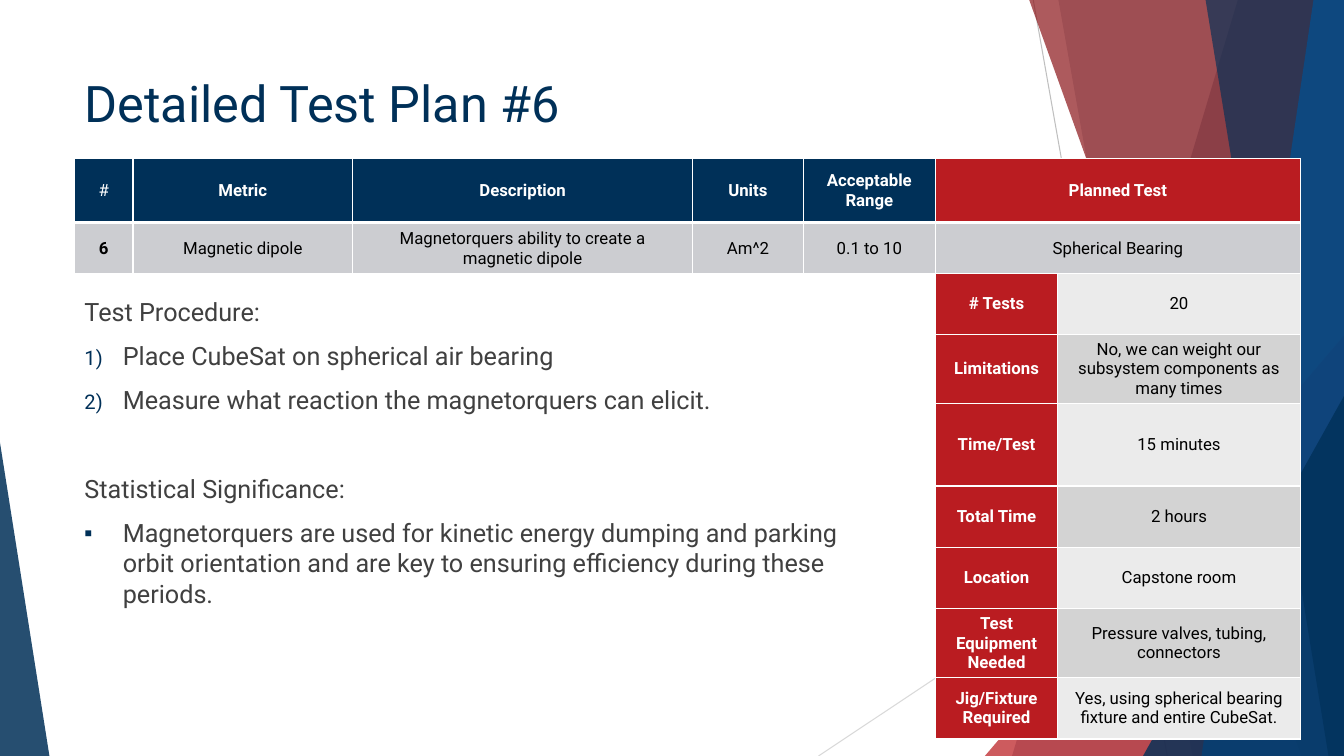
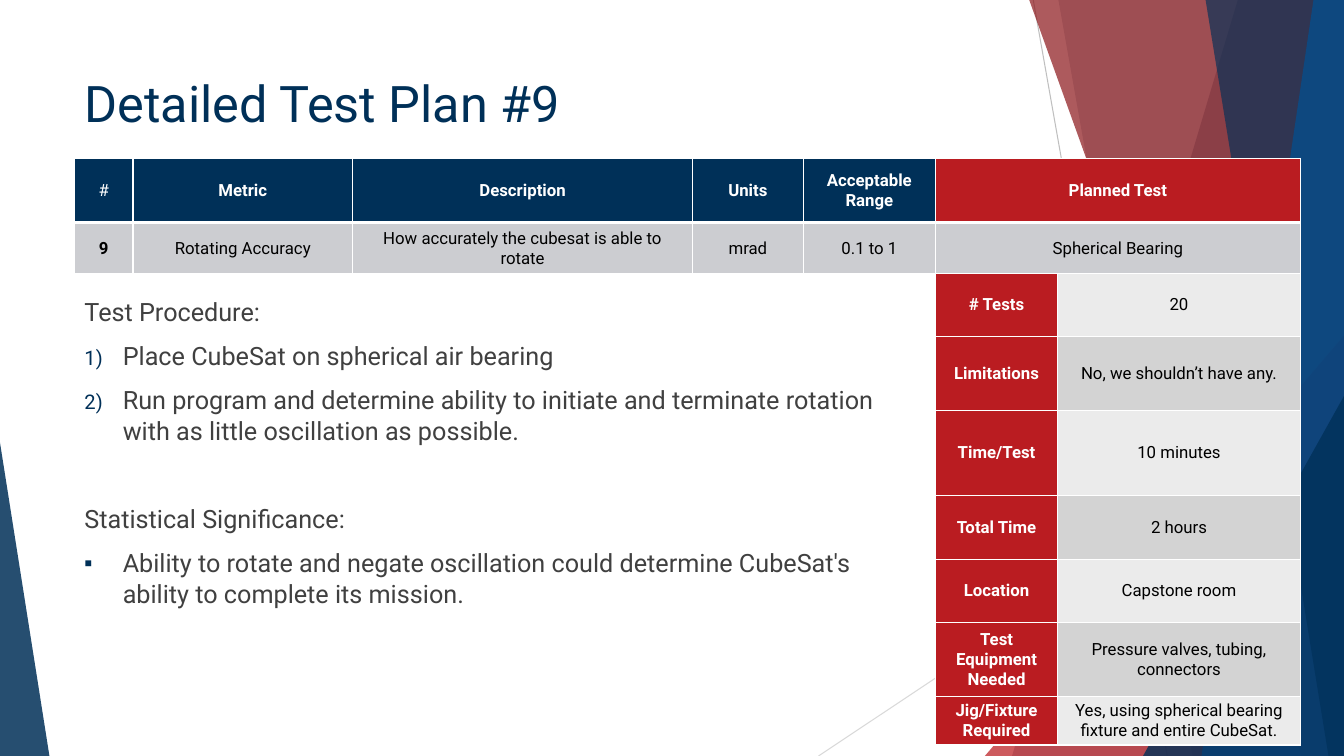
from lxml import etree
from pptx import Presentation
from pptx.dml.color import RGBColor
from pptx.enum.shapes import MSO_CONNECTOR, MSO_SHAPE
from pptx.enum.text import MSO_ANCHOR, MSO_AUTO_SIZE, PP_ALIGN
from pptx.oxml.ns import qn
from pptx.util import Inches, Pt

STRAIGHT = MSO_CONNECTOR.STRAIGHT
TRIANGLE = MSO_SHAPE.ISOSCELES_TRIANGLE
TOP, MIDDLE = MSO_ANCHOR.TOP, MSO_ANCHOR.MIDDLE
LEFT, CENTER = PP_ALIGN.LEFT, PP_ALIGN.CENTER
FIXED = MSO_AUTO_SIZE.NONE

NAVY = RGBColor(0x00, 0x30, 0x58)
RED = RGBColor(0xBA, 0x1C, 0x21)
MAROON = RGBColor(0x8B, 0x15, 0x19)
AZURE = RGBColor(0x02, 0x8C, 0xFF)
WHITE = RGBColor(0xFF, 0xFF, 0xFF)
BLACK = RGBColor(0x00, 0x00, 0x00)
TEXT_GREY = RGBColor(0x40, 0x40, 0x40)
RAY_GREY = RGBColor(0xBF, 0xBF, 0xBF)
PALE_RAY_GREY = RGBColor(0xD9, 0xD9, 0xD9)
METRIC_GREY = RGBColor(0xCC, 0xCD, 0xD1)
PLAN_GREYS = [RGBColor(0xEB, 0xEB, 0xEB), RGBColor(0xD3, 0xD3, 0xD3)]

TITLE_FONT = {"name": "Roboto", "size": Pt(36), "bold": False}
BODY_FONT = {"name": "Roboto", "size": Pt(18), "bold": False}
CELL_FONT = {"name": "Roboto", "size": Pt(12)}
CELL_LAYOUT = {"vertical_anchor": MIDDLE, "margin_left": Inches(0.14), "margin_right": Inches(0.14),
               "margin_top": Inches(0.04), "margin_bottom": Inches(0.04)}

deck = Presentation()
deck.slide_width, deck.slide_height = Inches(13.33), Inches(7.5)
COL, ROW = deck.slide_width / 100, deck.slide_height / 100

MARGIN = 5.55
METRIC_TOP = 20.93
METRIC_COLS = [4.35, 16.35, 25.28, 8.25, 9.83, 27.15]
METRIC_ROWS = [8.6, 6.6]
RULE_TOP, RULE_ROWS = 29.33, [6.8, 6.55]
VALUES_TOP, VALUES_ROW = 29.58, 6.55
PLAN_LEFT = MARGIN + sum(METRIC_COLS[:-1])
PLAN_TOP = METRIC_TOP + sum(METRIC_ROWS)
PLAN_COLS = [9.08, 18.07]
HEADINGS = ["#", "Metric", "Description", "Units", "Acceptable\nRange", "Planned Test"]
PLAN_LABELS = ["# Tests", "Limitations", "Time/Test", "Total Time", "Location",
               "Test\nEquipment\nNeeded", "Jig/Fixture\nRequired"]
SHARED_ANSWERS = ["2 hours", "Capstone room", "Pressure valves, tubing, connectors",
                  "Yes, using spherical bearing fixture and entire CubeSat."]
PLANS = [
    {
        "metric": ["6", "Magnetic dipole", "Magnetorquers ability to create a magnetic dipole",
                   "Am^2", "0.1 to 10", "Spherical Bearing"],
        "steps": ["Place CubeSat on spherical air bearing",
                  "Measure what reaction the magnetorquers can elicit."],
        "significance": "Magnetorquers are used for kinetic energy dumping and parking orbit "
                        "orientation and are key to ensuring efficiency during these periods.",
        "answers": ["20", "No, we can weight our subsystem components as many times",
                    "15 minutes"] + SHARED_ANSWERS,
        "rows": [8.13, 9.1, 10.93, 8.13, 8.13, 9.1, 8.13],
    },
    {
        "metric": ["9", "Rotating Accuracy", "How accurately the cubesat is able to rotate",
                   "mrad", "0.1 to 1", "Spherical Bearing"],
        "steps": ["Place CubeSat on spherical air bearing",
                  "Run program and determine ability to initiate and terminate rotation "
                  "with as little oscillation as possible."],
        "significance": "Ability to rotate and negate oscillation could determine CubeSat's "
                        "ability to complete its mission.",
        "answers": ["20", "No, we shouldn’t have any.", "10 minutes"] + SHARED_ANSWERS,
        "rows": [8.4, 9.73, 11.33, 8.4, 8.4, 9.73, 6.45],
    },
]

RAYS = [(76.88, 0, 86.85, 100, RAY_GREY), (100, 53.73, 60.9, 100, PALE_RAY_GREY)]
FACETS = [
    ("band", (92.1, 75.3), NAVY, 30),
    ("band", (78.75, 88.73), NAVY, 20),
    ("triangle", (73.28, 44.4, 100, 1), RED, 72),
    ("band", (76.58, 96.83), MAROON, 70),
    ("band", (97.73, 89.4), AZURE, 70),
    ("band", (89.7, 98.85), NAVY, 65),
    ("triangle", (85.05, 52.4, 100, 1), NAVY, 80),
    ("triangle", (0, 58.53, 3.68, 0), NAVY, 85),
]


def style_paragraph(paragraph, font_format, color, alignment):
    paragraph.alignment = alignment
    for run in paragraph.runs:
        for attribute, value in font_format.items():
            setattr(run.font, attribute, value)
        run.font.color.rgb = color


def add_grid(slide, left, top, widths, heights, cells, side_rule=1, header_rule=1):
    frame = slide.shapes.add_table(len(heights), len(widths), int(left * COL), int(top * ROW),
                                   int(sum(widths) * COL), int(sum(heights) * ROW))
    grid = frame.table
    grid.first_row = grid.horz_banding = False
    for column, width in zip(grid.columns, widths):
        column.width = int(width * COL)
    for row, height in zip(grid.rows, heights):
        row.height = int(height * ROW)
    for r, line in enumerate(cells):
        for c, (text, fill, color, bold) in enumerate(line):
            cell = grid.cell(r, c)
            if text:
                cell.text = text
            for attribute, value in CELL_LAYOUT.items():
                setattr(cell, attribute, value)
            for paragraph in cell.text_frame.paragraphs:
                style_paragraph(paragraph, CELL_FONT | {"bold": bold}, color, CENTER)
            for side in "LRTB":
                weight = header_rule if side == "B" and r == 0 else side_rule
                border = etree.SubElement(cell._tc.get_or_add_tcPr(), qn(f"a:ln{side}"), w=str(Pt(weight)))
                paint = etree.SubElement(border, qn("a:solidFill"))
                etree.SubElement(paint, qn("a:srgbClr"), val=str(WHITE))
            if fill:
                cell.fill.solid()
                cell.fill.fore_color.rgb = fill
            else:
                cell.fill.background()


layout = deck.slide_layouts[5]
slides = [deck.slides.add_slide(layout) for plan in PLANS]
canvas = slides[0].shapes
backdrop = []

for x1, y1, x2, y2, color in RAYS:
    ray = canvas.add_connector(STRAIGHT, int(x1 * COL), int(y1 * ROW), int(x2 * COL), int(y2 * ROW))
    ray.line.color.rgb = color
    ray.line.width = Pt(0.75)
    etree.SubElement(ray._element.spPr, qn("a:effectLst"))
    backdrop.append(ray)

for kind, geometry, color, opacity in FACETS:
    if kind == "band":
        top_x, bottom_x = geometry
        outline = canvas.build_freeform(int(top_x * COL), 0)
        outline.add_line_segments([(int(x * COL), int(y * ROW))
                                   for x, y in [(100, 0), (100, 100), (bottom_x, 100)]], close=True)
        facet = outline.convert_to_shape()
    else:
        left, top, right, apex = geometry
        facet = canvas.add_shape(TRIANGLE, int(left * COL), int(top * ROW),
                                 int((right - left) * COL), int((100 - top) * ROW))
        facet.adjustments[0] = apex
    facet.shadow.inherit = False
    facet.line.fill.background()
    facet.fill.solid()
    facet.fill.fore_color.rgb = color
    tint = facet._element.spPr.find(qn("a:solidFill"))[0]
    etree.SubElement(tint, qn("a:alpha"), val=str(opacity * 1000))
    backdrop.append(facet)

for number, part in enumerate(backdrop, start=100):
    part._element.xpath(".//p:cNvPr")[0].set("id", str(number))
    layout.shapes._spTree.append(part._element)

for slide, plan in zip(slides, PLANS):
    title = slide.shapes.title
    title.left, title.top = int(MARGIN * COL), int(8.93 * ROW)
    title.width, title.height = int(70.5 * COL), int(19.2 * ROW)
    title.text_frame.text = f"Detailed Test Plan #{plan['metric'][0]}"
    title.text_frame.vertical_anchor = TOP
    title.text_frame.auto_size = FIXED
    style_paragraph(title.text_frame.paragraphs[0], TITLE_FONT, NAVY, LEFT)

    procedure = slide.shapes.add_textbox(int(MARGIN * COL), int(38.53 * ROW),
                                         int(61.05 * COL), int(59.7 * ROW)).text_frame
    procedure.word_wrap = True
    lines = [("Test Procedure:", None, 0)]
    lines += [(step, "number", 10) for step in plan["steps"]]
    lines += [("Statistical Significance:", None, 41.5), (plan["significance"], "square", 10)]
    procedure.text = "\n".join(text for text, marker, gap in lines)
    for paragraph, (text, marker, gap) in zip(procedure.paragraphs, lines):
        if marker:
            properties = paragraph._p.get_or_add_pPr()
            properties.set("marL", str(Inches(0.38)))
            properties.set("indent", str(-Inches(0.38)))
            marker_color = etree.SubElement(properties, qn("a:buClr"))
            etree.SubElement(marker_color, qn("a:srgbClr"), val=str(NAVY))
            etree.SubElement(properties, qn("a:buSzPct"), val="80000")
            etree.SubElement(properties, qn("a:buFont"), typeface="Roboto")
            if marker == "number":
                etree.SubElement(properties, qn("a:buAutoNum"), type="arabicParenR")
            else:
                etree.SubElement(properties, qn("a:buChar"), char="▪")
        paragraph.space_before = Pt(gap)
        style_paragraph(paragraph, BODY_FONT, TEXT_GREY, LEFT)

    header = [(text, RED if text == "Planned Test" else NAVY, WHITE, text != "#") for text in HEADINGS]
    shade = [("", METRIC_GREY, BLACK, False)] * len(HEADINGS)
    add_grid(slide, MARGIN, METRIC_TOP, METRIC_COLS, METRIC_ROWS, [header, shade], header_rule=3)

    details = [[(label, RED, WHITE, True), (answer, PLAN_GREYS[r % 2], BLACK, False)]
               for r, (label, answer) in enumerate(zip(PLAN_LABELS, plan["answers"]))]
    add_grid(slide, PLAN_LEFT, PLAN_TOP, PLAN_COLS, plan["rows"], details)

    ruled = [("", None, BLACK, False)] * len(HEADINGS)
    for height in RULE_ROWS:
        add_grid(slide, MARGIN, RULE_TOP, METRIC_COLS, [height], [ruled], 0.75, 0.75)

    values = [(text, METRIC_GREY, BLACK, c == 0) for c, text in enumerate(plan["metric"])]
    add_grid(slide, MARGIN, VALUES_TOP, METRIC_COLS, [VALUES_ROW], [values])

deck.save("out.pptx")
